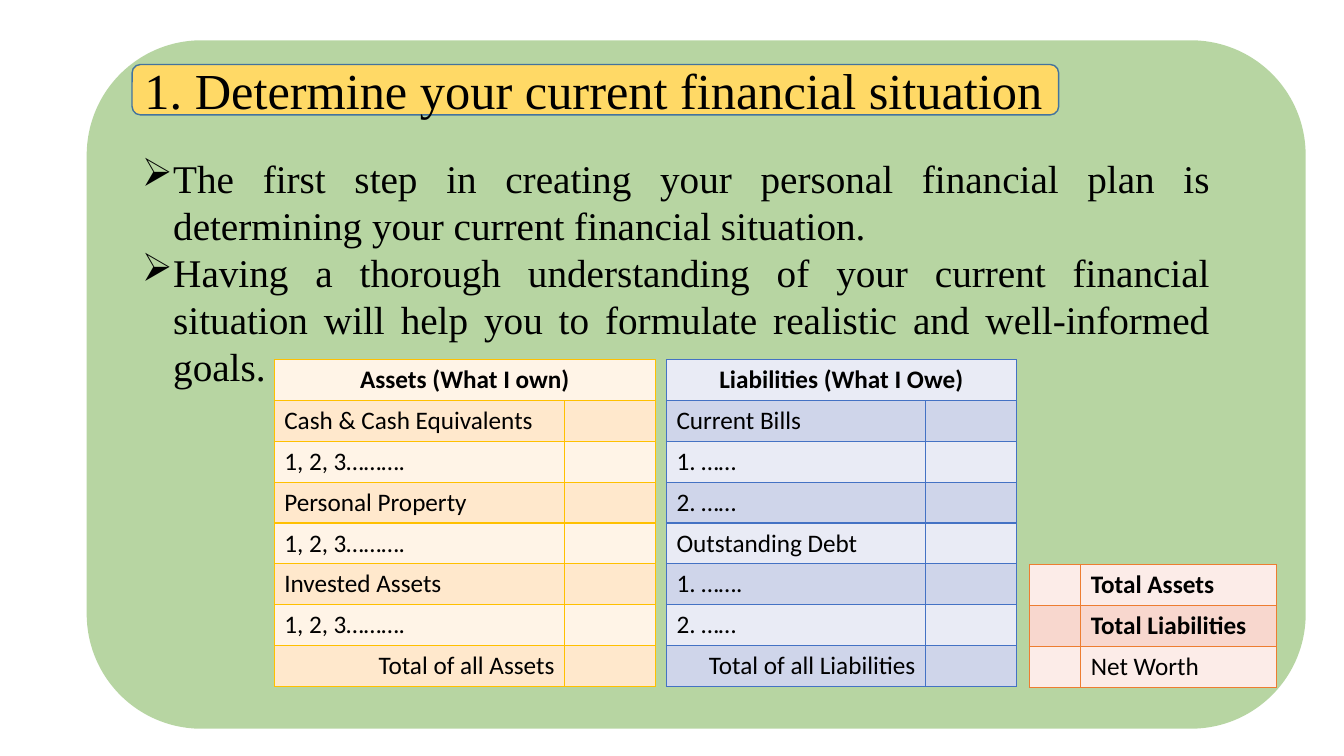
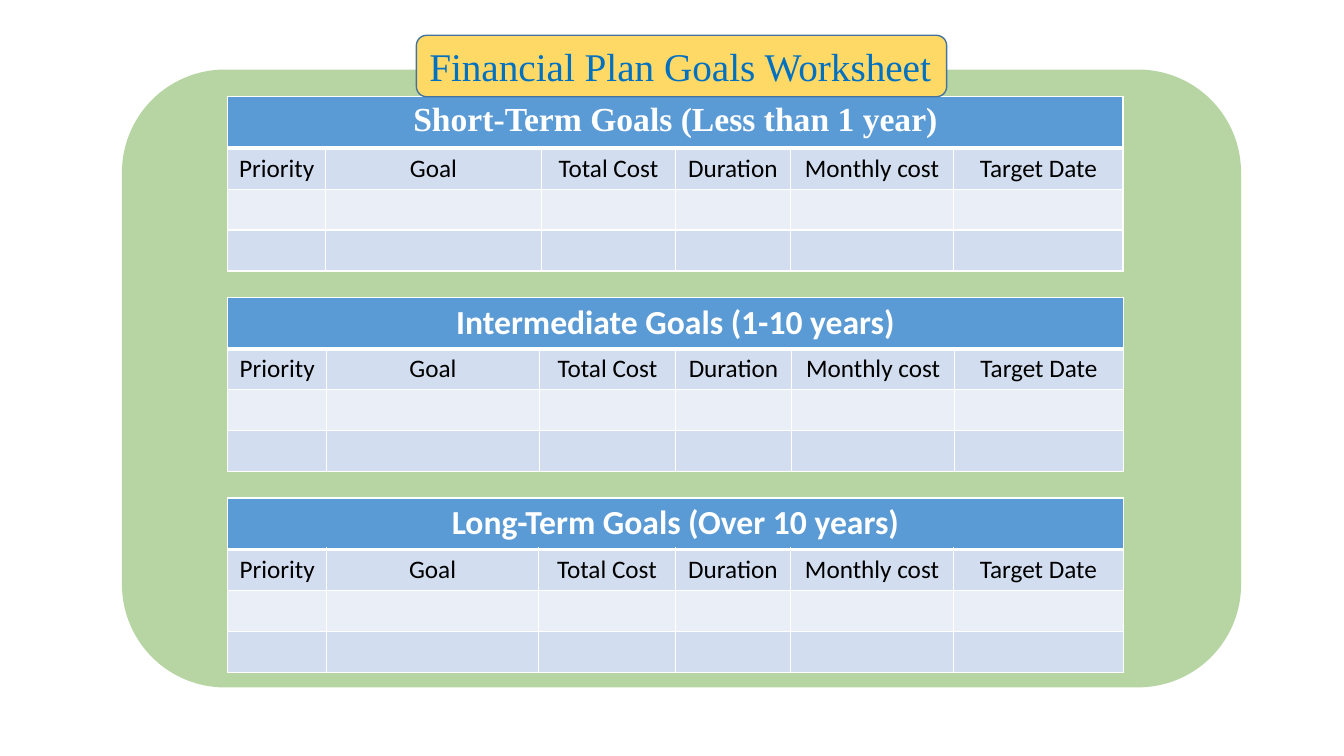
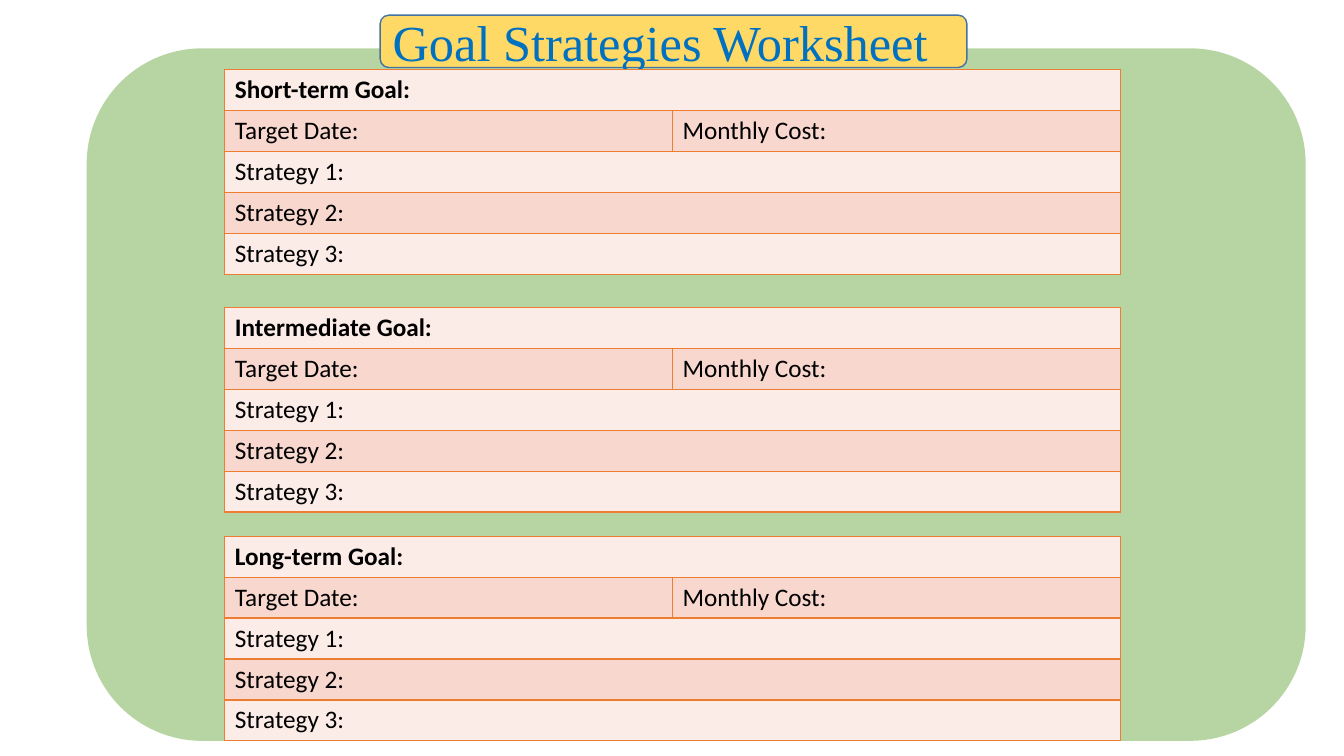
from dataclasses import dataclass

import pptx
import pptx.dml.color
import pptx.enum.shapes
import pptx.enum.text
import pptx.oxml
import pptx.oxml.ns
import pptx.util
from lxml import etree

ALIGN = pptx.enum.text.PP_ALIGN
ANCHOR = pptx.enum.text.MSO_ANCHOR
EMU_PER_PX = 9144  # 100 px to the inch


@dataclass(frozen=True)
class Palette:
    """Border colour, the two row fills and an optional header fill."""
    border: str
    light: str
    dark: str
    header: str = ""


@dataclass(frozen=True)
class Theme:
    serif: str = "Times New Roman"
    sans: str = "Calibri"
    black: str = "000000"
    white: str = "FFFFFF"
    title_blue: str = "0070C0"
    panel: str = "70AD47"
    panel_opacity: int = 50
    banner: str = "FFD966"
    banner_line: str = "43739E"
    title_size: int = 36
    body_size: int = 28
    header_size: int = 24
    cell_size: int = 18
    gold: Palette = Palette("FFC000", "FFF4E7", "FFE8CC")
    indigo: Palette = Palette("4472C4", "E9EBF5", "CFD5EA")
    orange: Palette = Palette("ED7D31", "FCECE8", "F8D7CE")
    blue: Palette = Palette("FFFFFF", "EAEFF7", "D2DEEF", "5B9BD5")


THEME = Theme()


@dataclass(frozen=True)
class Label:
    """Text of one table cell with its look."""
    text: str
    bold: bool = False
    align: ALIGN = ALIGN.LEFT
    size: int = THEME.cell_size
    color: str = THEME.black
    font: str = THEME.sans


def px(length):
    return pptx.util.Emu(length * EMU_PER_PX)


def rgb(color):
    return pptx.dml.color.RGBColor.from_string(color)


def add_run(paragraph, text, size, color, font, bold=False):
    run = paragraph.add_run()
    run.text = text
    run.font.size = pptx.util.Pt(size)
    run.font.name = font
    run.font.bold = bold
    run.font.color.rgb = rgb(color)


def add_rounded(slide, box, color):
    shape = slide.shapes.add_shape(
        pptx.enum.shapes.MSO_SHAPE.ROUNDED_RECTANGLE, *map(px, box))
    shape.shadow.inherit = False
    shape.fill.solid()
    shape.fill.fore_color.rgb = rgb(color)
    return shape


def add_panel(slide, box):
    """Half-transparent green panel behind the content."""
    shape = add_rounded(slide, box, THEME.panel)
    shape.line.fill.background()
    color = shape.fill._xPr.find(".//" + pptx.oxml.ns.qn("a:srgbClr"))
    alpha = etree.SubElement(color, pptx.oxml.ns.qn("a:alpha"))
    alpha.set("val", str(THEME.panel_opacity * 1000))


def add_banner(slide, box, text, size, color):
    """Yellow title plate."""
    shape = add_rounded(slide, box, THEME.banner)
    shape.line.color.rgb = rgb(THEME.banner_line)
    shape.line.width = pptx.util.Pt(1)
    frame = shape.text_frame
    frame.word_wrap = True
    frame.vertical_anchor = ANCHOR.MIDDLE
    paragraph = frame.paragraphs[0]
    paragraph.alignment = ALIGN.LEFT
    add_run(paragraph, text, size, color, THEME.serif)


def add_bullets(slide, box, texts):
    frame = slide.shapes.add_textbox(*map(px, box)).text_frame
    frame.word_wrap = True
    for index, text in enumerate(texts):
        paragraph = frame.add_paragraph() if index else frame.paragraphs[0]
        paragraph.alignment = ALIGN.JUSTIFY
        properties = paragraph._p.get_or_add_pPr()
        properties.set("marL", str(px(31)))
        properties.set("indent", str(px(-31)))
        bullet = etree.SubElement(properties, pptx.oxml.ns.qn("a:buChar"))
        bullet.set("char", "➢")
        add_run(paragraph, text, THEME.body_size, THEME.black, THEME.serif)


def set_borders(cell, color, top=1, bottom=1):
    properties = cell._tc.get_or_add_tcPr()
    for side, width in (("L", 1), ("R", 1), ("T", top), ("B", bottom)):
        line = etree.SubElement(properties, pptx.oxml.ns.qn("a:ln" + side))
        line.set("w", str(pptx.util.Pt(width)))
        fill = etree.SubElement(line, pptx.oxml.ns.qn("a:solidFill"))
        etree.SubElement(fill, pptx.oxml.ns.qn("a:srgbClr")).set("val", color)


def fill_cell(cell, color, label):
    cell.fill.solid()
    cell.fill.fore_color.rgb = rgb(color)
    if label:
        paragraph = cell.text_frame.paragraphs[0]
        paragraph.alignment = label.align
        add_run(paragraph, label.text, label.size, label.color, label.font, label.bold)


def add_grid(slide, left, top, height, columns, palette, rows, header_height=0):
    """Banded table; a row holding a single label spans every column."""
    frame = slide.shapes.add_table(
        len(rows), len(columns), px(left), px(top), px(sum(columns)), px(height))
    table = frame.table
    table.first_row = table.horz_banding = False
    for column, width in zip(table.columns, columns):
        column.width = px(width)
    plain_rows = len(rows) - bool(header_height)
    row_height = px(height - header_height) // plain_rows
    for index, labels in enumerate(rows):
        is_header = index == 0 and header_height > 0
        table.rows[index].height = px(header_height) if is_header else row_height
        color = palette.dark if index % 2 else palette.light
        if is_header:
            color = palette.header
        if len(labels) == 1:
            table.cell(index, 0).merge(table.cell(index, len(columns) - 1))
        for position in range(len(columns)):
            cell = table.cell(index, position)
            set_borders(cell, palette.border,
                        top=3 if header_height and index == 1 else 1,
                        bottom=3 if is_header else 1)
            fill_cell(cell, color, labels[position] if position < len(labels) else None)


def add_balance(slide, left, columns, palette, heading, items, total):
    """One side of the balance sheet, with an empty amount column."""
    rows = [[Label(heading, bold=True, align=ALIGN.CENTER)]]
    rows += [[Label(item), None] for item in items]
    rows.append([Label(total, align=ALIGN.RIGHT), None])
    add_grid(slide, left, 357, 324, columns, palette, rows)


def add_goals(slide, top, columns, heading, font):
    titles = ("Priority", "Goal", "Total Cost", "Duration", "Monthly cost", "Target Date")
    rows = [
        [Label(heading, True, ALIGN.CENTER, THEME.header_size, THEME.white, font)],
        [Label(title, align=ALIGN.CENTER) for title in titles],
        [None] * len(titles),
        [None] * len(titles),
    ]
    add_grid(slide, 226, top, 173, columns, THEME.blue, rows, header_height=51)


def add_strategies(slide, top, heading):
    rows = [[Label(heading, bold=True)],
            [Label("Target Date:"), Label("Monthly Cost:")]]
    rows += [[Label(f"Strategy {number}:")] for number in (1, 2, 3)]
    add_grid(slide, 223, top, 203, (444, 444), THEME.orange, rows)


def build_situation(slide):
    add_panel(slide, (86, 40, 1209, 683))
    add_banner(slide, (131, 64, 919, 50), "1. Determine your current financial situation",
               THEME.title_size, THEME.black)
    add_bullets(slide, (131, 148, 1079, 246), (
        "The first step in creating your personal financial plan is determining "
        "your current financial situation.",
        "Having a thorough understanding of your current financial situation will "
        "help you to formulate realistic and well-informed goals.",
    ))
    add_balance(slide, 272, (288, 90), THEME.gold, "Assets (What I own)",
                ("Cash & Cash Equivalents", "1, 2, 3……….", "Personal Property",
                 "1, 2, 3……….", "Invested Assets", "1, 2, 3………."),
                "Total of all Assets")
    add_balance(slide, 661, (257, 90), THEME.indigo, "Liabilities (What I Owe)",
                ("Current Bills", "1. ……", "2. ……",
                 "Outstanding Debt", "1. …….", "2. ……"),
                "Total of all Liabilities")
    add_grid(slide, 1021, 560, 122, (51, 194), THEME.orange, [
        [None, Label("Total Assets", bold=True)],
        [None, Label("Total Liabilities", bold=True)],
        [None, Label("Net Worth")],
    ])


def build_goals(slide):
    add_panel(slide, (121, 69, 1110, 613))
    goals = (
        ("Short-Term Goals (Less than 1 year)", THEME.serif, (97, 214, 133, 114, 162, 168)),
        ("Intermediate Goals (1-10 years)", THEME.sans, (98, 211, 135, 115, 162, 167)),
        ("Long-Term Goals (Over 10 years)", THEME.sans, (98, 210, 136, 114, 162, 168)),
    )
    for index, (heading, font, columns) in enumerate(goals):
        add_goals(slide, 96 + 199 * index, columns, heading, font)
    add_banner(slide, (413, 35, 526, 61), "Financial Plan Goals Worksheet",
               THEME.body_size, THEME.title_blue)


def build_strategies(slide):
    add_panel(slide, (86, 48, 1209, 687))
    add_banner(slide, (377, 15, 582, 52), "Goal Strategies Worksheet",
               THEME.title_size, THEME.title_blue)
    for top, term in ((69, "Short-term"), (305, "Intermediate"), (532, "Long-term")):
        add_strategies(slide, top, f"{term} Goal:")


def main():
    presentation = pptx.Presentation()
    presentation.slide_width = px(1333)
    presentation.slide_height = px(750)
    blank = presentation.slide_layouts[6]
    for build in (build_situation, build_goals, build_strategies):
        build(presentation.slides.add_slide(blank))
    presentation.save("out.pptx")


if __name__ == "__main__":
    main()
